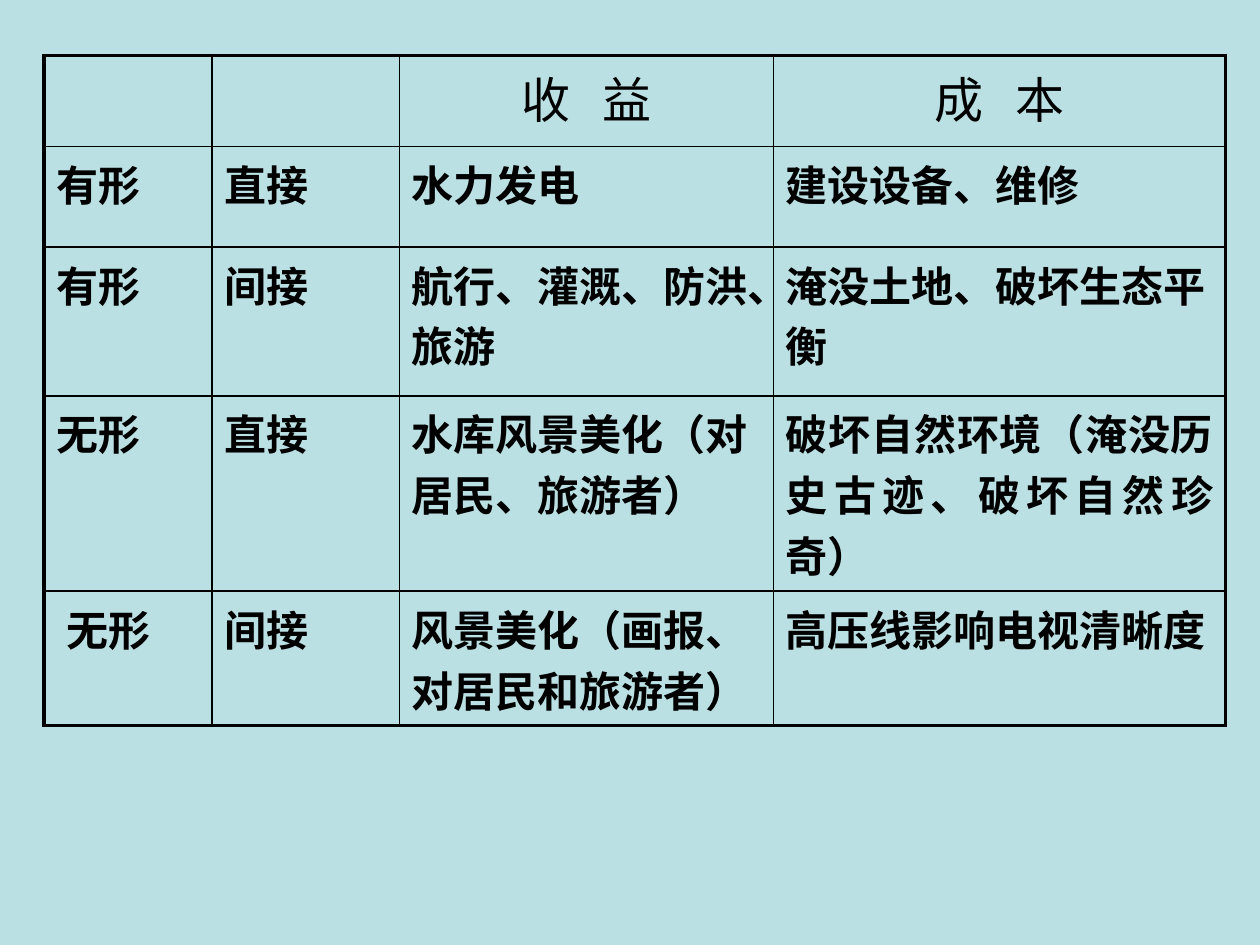
from dataclasses import dataclass

from lxml.etree import SubElement
from pptx import Presentation
from pptx.dml.color import RGBColor
from pptx.enum.text import PP_ALIGN
from pptx.oxml.ns import qn
from pptx.slide import Slide
from pptx.util import Cm, Pt

COLUMN_WIDTHS = [3.38, 3.78, 7.54, 9.12]
ROW_HEIGHTS = [1.83, 2.03, 3, 3.38, 2.16]
ROWS = [
    ["", "", "收 益", "成 本"],
    ["有形", "直接", "水力发电", "建设设备、维修"],
    ["有形", "间接", "航行、灌溉、防洪、旅游", "淹没土地、破坏生态平衡"],
    ["无形", "直接", "水库风景美化（对居民、旅游者）",
     "破坏自然环境（淹没历史古迹、破坏自然珍奇）"],
    [" 无形", "间接", "风景美化（画报、对居民和旅游者）", "高压线影响电视清晰度"],
]
CHINESE_FONT_CELLS = {(0, 2), (0, 3), (2, 0), (2, 1)}
JUSTIFIED_CELLS = {(3, 3), (4, 3)}


def color(hex_string):
    return RGBColor.from_string(hex_string)


@dataclass
class SlideBuilder:
    slide: Slide
    background: str = "BBE0E3"
    ink: str = "000000"
    latin_font: str = "Arial"
    chinese_font: str = "Noto Sans CJK SC"
    header_size: int = 28
    body_size: int = 24
    inner_line: float = 1
    outer_line: float = 2.25

    def paint_background(self):
        fill = self.slide.background.fill
        fill.solid()
        fill.fore_color.rgb = color(self.background)

    def add_border(self, cell, side, width):
        line = SubElement(cell._tc.get_or_add_tcPr(), qn(f"a:ln{side}"), w=str(Pt(width)))
        fill = SubElement(line, qn("a:solidFill"))
        SubElement(fill, qn("a:srgbClr"), val=self.ink)

    def write_cell(self, cell, text, header, font_name, alignment):
        cell.text = text
        paragraph = cell.text_frame.paragraphs[0]
        paragraph.alignment = alignment
        properties = paragraph._p.get_or_add_pPr()
        spacing = SubElement(properties, qn("a:spcBef"))
        SubElement(spacing, qn("a:spcPct"), val="20000")
        font = paragraph.font
        font.name = font_name
        font.size = Pt(self.header_size if header else self.body_size)
        font.bold = not header
        font.color.rgb = color(self.ink)
        character_properties = properties.find(qn("a:defRPr"))
        SubElement(character_properties, qn("a:ea"), typeface=self.chinese_font)
        if header:
            character_properties.set("spc", "600")

    def add_table(self, left, top, widths, heights, rows):
        table = self.slide.shapes.add_table(
            len(rows), len(widths), Cm(left), Cm(top), Cm(sum(widths)), Cm(sum(heights))
        ).table
        table.first_row = table.horz_banding = False
        for column, width in zip(table.columns, widths):
            column.width = Cm(width)
        for row, height in zip(table.rows, heights):
            row.height = Cm(height)
        last_row, last_column = len(rows) - 1, len(widths) - 1
        for i, texts in enumerate(rows):
            for j, text in enumerate(texts):
                cell = table.cell(i, j)
                outer_sides = {"L": j == 0, "R": j == last_column,
                               "T": i == 0, "B": i == last_row}
                for side, outer in outer_sides.items():
                    self.add_border(cell, side, self.outer_line if outer else self.inner_line)
                cell.fill.background()
                if i == 0:
                    alignment = PP_ALIGN.CENTER
                elif (i, j) in JUSTIFIED_CELLS:
                    alignment = PP_ALIGN.JUSTIFY
                else:
                    alignment = PP_ALIGN.LEFT
                chinese = (i, j) in CHINESE_FONT_CELLS
                font_name = self.chinese_font if chinese else self.latin_font
                self.write_cell(cell, text, i == 0, font_name, alignment)


def main():
    presentation = Presentation()
    presentation.slide_width, presentation.slide_height = Cm(25.4), Cm(19.05)
    builder = SlideBuilder(presentation.slides.add_slide(presentation.slide_layouts[6]))
    builder.paint_background()
    builder.add_table(0.89, 1.12, COLUMN_WIDTHS, ROW_HEIGHTS, ROWS)
    presentation.save("out.pptx")


if __name__ == "__main__":
    main()
